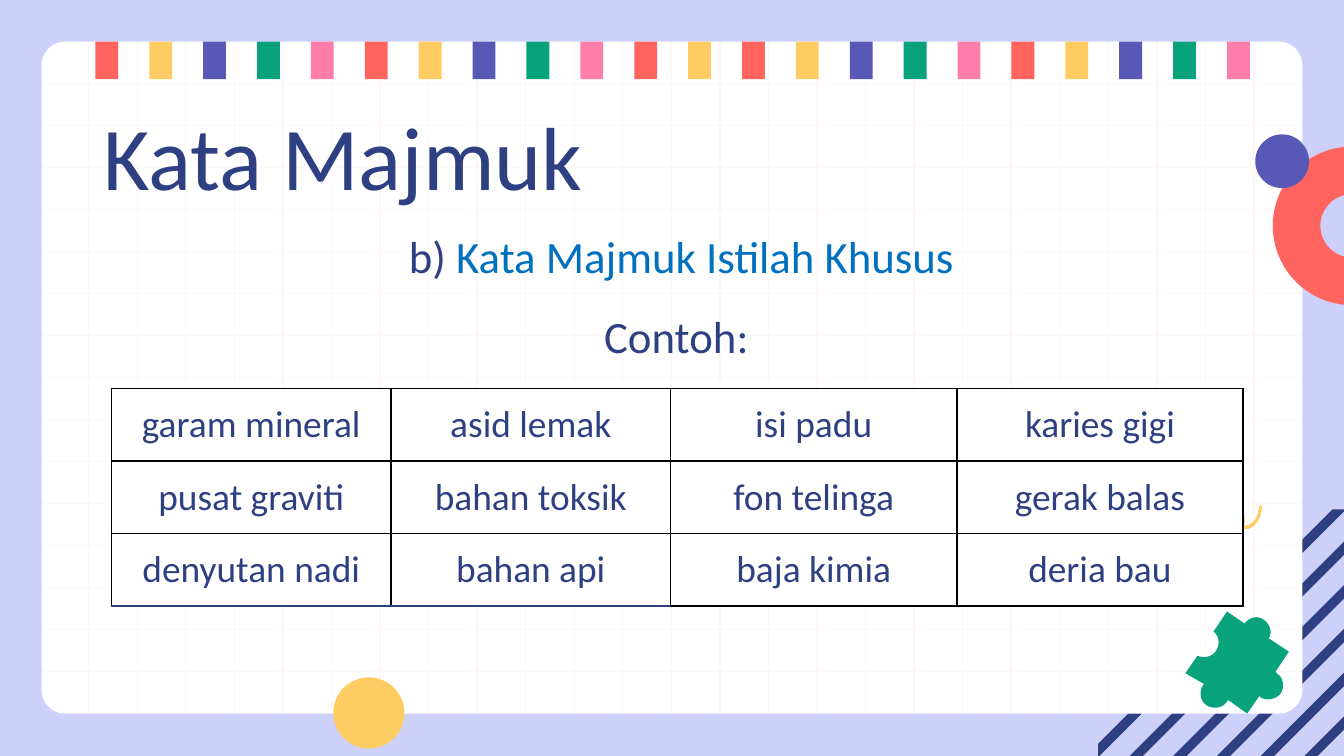
from dataclasses import dataclass

from lxml import etree
from pptx import Presentation
from pptx.dml.color import RGBColor
from pptx.enum.shapes import MSO_CONNECTOR, MSO_SHAPE
from pptx.enum.text import MSO_ANCHOR, PP_ALIGN
from pptx.oxml.ns import qn
from pptx.util import Inches, Pt

STRAIGHT = MSO_CONNECTOR.STRAIGHT
RECTANGLE, ROUNDED = MSO_SHAPE.RECTANGLE, MSO_SHAPE.ROUNDED_RECTANGLE
OVAL, BLOCK_ARC = MSO_SHAPE.OVAL, MSO_SHAPE.BLOCK_ARC
LEFT, CENTER = PP_ALIGN.LEFT, PP_ALIGN.CENTER
MIDDLE = MSO_ANCHOR.MIDDLE


@dataclass(frozen=True)
class Theme:
    font: str = "Calibri"
    title_size: int = 48
    body_size: int = 24
    cell_size: int = 20
    background: str = "CDD1F9"
    white: str = "FFFFFF"
    black: str = "000000"
    grid: str = "FFF7F7"
    navy: str = "2E4081"
    blue: str = "0070C0"
    red: str = "FF645E"
    yellow: str = "FFCC63"
    purple: str = "5859B6"
    green: str = "08A37C"
    pink: str = "FF7DAB"


THEME = Theme()
WIDTH = 10
HEIGHT = WIDTH * 9 / 16
CARD_LEFT, CARD_TOP, CARD_WIDTH, CARD_HEIGHT = 0.31, 0.31, 9.38, 5

TERMS = [
    ["garam mineral", "asid lemak", "isi padu", "karies gigi"],
    ["pusat graviti", "bahan toksik", "fon telinga", "gerak balas"],
    ["denyutan nadi", "bahan api", "baja kimia", "deria bau"],
]

# Outlines: a pair is a corner, six numbers are a Bezier curve.
PUZZLE = [
    (9.4, 4.61), (9.36, 4.58, 9.3, 4.59, 9.26, 4.64), (9.13, 4.55), (9.03, 4.7),
    (9.07, 4.73, 9.08, 4.79, 9.05, 4.84), (9.02, 4.89, 8.96, 4.9, 8.91, 4.88),
    (8.82, 5.01), (8.96, 5.09), (8.95, 5.1),
    (8.92, 5.15, 8.93, 5.22, 8.98, 5.25), (9.03, 5.28, 9.1, 5.27, 9.13, 5.22),
    (9.14, 5.21), (9.28, 5.31), (9.37, 5.18), (9.38, 5.19),
    (9.43, 5.22, 9.5, 5.2, 9.53, 5.16), (9.56, 5.11, 9.55, 5.04, 9.5, 5.01),
    (9.49, 5), (9.59, 4.85), (9.44, 4.75), (9.47, 4.71, 9.45, 4.64, 9.4, 4.61),
]
SQUIGGLE_LOOP = [
    (9.21, 3.81), (9.22, 3.81, 9.22, 3.82, 9.22, 3.82),
    (9.24, 3.82, 9.24, 3.84, 9.24, 3.85), (9.24, 3.87, 9.24, 3.89, 9.23, 3.9),
    (9.22, 3.9, 9.2, 3.89, 9.19, 3.87), (9.19, 3.85, 9.19, 3.83, 9.2, 3.82),
]
SQUIGGLE_STROKE = [
    (9.38, 3.76), (9.37, 3.77), (9.36, 3.82, 9.35, 3.88, 9.3, 3.9),
    (9.29, 3.91, 9.28, 3.91, 9.25, 3.91), (9.26, 3.89, 9.27, 3.87, 9.26, 3.85),
    (9.26, 3.82, 9.24, 3.79, 9.21, 3.79), (9.18, 3.79, 9.17, 3.82, 9.17, 3.84),
    (9.16, 3.88, 9.19, 3.91, 9.22, 3.92), (9.21, 3.94, 9.2, 3.95, 9.18, 3.96),
    (9.17, 3.97, 9.16, 3.97, 9.14, 3.97), (9.11, 3.97, 9.08, 3.95, 9.07, 3.92),
    (9.05, 3.93), (9.06, 3.97, 9.1, 3.99, 9.14, 3.99),
    (9.16, 3.99, 9.17, 3.99, 9.18, 3.99), (9.2, 3.98, 9.23, 3.96, 9.24, 3.93),
    (9.27, 3.94), (9.35, 3.93, 9.39, 3.84, 9.39, 3.77),
]


def color(value):
    return RGBColor.from_string(value)


def paint(shape, fill):
    shape.shadow.inherit = False
    shape.fill.solid()
    shape.fill.fore_color.rgb = color(fill)
    shape.line.fill.background()


def add_shape(slide, kind, box, fill, adjustments=()):
    shape = slide.shapes.add_shape(kind, *map(Inches, box))
    for index, value in enumerate(adjustments):
        shape.adjustments[index] = value
    paint(shape, fill)


def flatten(outline, steps=8):
    points = [outline[0]]
    for segment in outline[1:]:
        if len(segment) == 2:
            points.append(segment)
            continue
        controls = [points[-1], segment[:2], segment[2:4], segment[4:]]
        for step in range(1, steps + 1):
            t = step / steps
            weights = ((1 - t) ** 3, 3 * t * (1 - t) ** 2, 3 * t * t * (1 - t), t ** 3)
            points.append(tuple(
                sum(weight * point[axis] for weight, point in zip(weights, controls))
                for axis in (0, 1)))
    return [(Inches(x), Inches(y)) for x, y in points]


def add_outline(slide, fill, *outlines):
    first, *others = map(flatten, outlines)
    builder = slide.shapes.build_freeform(*first[0])
    builder.add_line_segments(first[1:], close=True)
    for points in others:
        builder.move_to(*points[0])
        builder.add_line_segments(points[1:], close=True)
    paint(builder.convert_to_shape(), fill)


def add_line(slide, *ends):
    line = slide.shapes.add_connector(STRAIGHT, *map(Inches, ends))
    line.line.color.rgb = color(THEME.grid)
    line.line.width = Pt(0.75)
    etree.SubElement(line._element.spPr, qn("a:effectLst"))


def write(paragraph, text, size, fill=THEME.navy, align=LEFT, spacing=None):
    paragraph.alignment = align
    paragraph.line_spacing = spacing
    run = paragraph.add_run()
    run.text = text
    run.font.name = THEME.font
    run.font.size = Pt(size)
    run.font.color.rgb = color(fill)


def set_margins(target):
    target.margin_left = target.margin_right = Inches(0.1)
    target.margin_top = target.margin_bottom = Inches(0.1)


def add_text_frame(slide, *box):
    frame = slide.shapes.add_textbox(*map(Inches, box)).text_frame
    frame.word_wrap = True
    set_margins(frame)
    return frame


def set_borders(cell, bottom):
    properties = cell._tc.get_or_add_tcPr()
    sides = {"a:lnL": THEME.black, "a:lnR": THEME.black, "a:lnT": THEME.black, "a:lnB": bottom}
    for index, (side, value) in enumerate(sides.items()):
        border = etree.Element(qn(side), w=str(Pt(1)))
        fill = etree.SubElement(border, qn("a:solidFill"))
        etree.SubElement(fill, qn("a:srgbClr"), val=value)
        properties.insert(index, border)


def add_terms_table(slide):
    frame = slide.shapes.add_table(3, 4, *map(Inches, (0.83, 2.89, 8.42, 1.62)))
    table = frame.table
    table.first_row = table.horz_banding = False
    for column, width in zip(table.columns, (2.08, 2.08, 2.13, 2.13)):
        column.width = Inches(width)
    for row_index, terms in enumerate(TERMS):
        table.rows[row_index].height = Inches(0.54)
        for column_index, term in enumerate(terms):
            cell = table.cell(row_index, column_index)
            set_margins(cell)
            cell.vertical_anchor = MIDDLE
            cell.fill.solid()
            cell.fill.fore_color.rgb = color(THEME.white)
            navy_edge = row_index == 2 and column_index < 2
            set_borders(cell, THEME.navy if navy_edge else THEME.black)
            write(cell.text_frame.paragraphs[0], term, THEME.cell_size, align=CENTER)


def add_diagonals(slide, left=8.17, top=3.79):
    for index in range(7):
        near = 15.33 - index * 0.325
        far = near + 0.1
        upper = [(min(WIDTH, total - top), total) for total in (near, far)]
        lower = [(max(left, total - HEIGHT), total) for total in (near, far)]
        (a, b), (c, d) = [[(x, total - x) for x, total in side] for side in (upper, lower)]
        add_outline(slide, THEME.navy, [a, c, (c[0], d[1]), d, b, (b[0], a[1])])


def add_card(slide):
    box = (CARD_LEFT, CARD_TOP, CARD_WIDTH, CARD_HEIGHT)
    add_shape(slide, ROUNDED, box, THEME.white, [0.035])
    right, bottom = CARD_LEFT + CARD_WIDTH, CARD_TOP + CARD_HEIGHT
    for index in range(1, 16):
        y = CARD_TOP + index * CARD_HEIGHT / 16
        add_line(slide, CARD_LEFT, y, right, y)
    for index in range(25):
        x = 0.66 + index * 8.67 / 24
        add_line(slide, x, CARD_TOP, x, bottom)
    colors = (THEME.red, THEME.yellow, THEME.purple, THEME.green, THEME.pink)
    for index in range(22):
        x = 0.71 + index * 8.42 / 21
        add_shape(slide, RECTANGLE, (x, CARD_TOP, 0.17, 0.28), colors[index % 12 % 5])


def main():
    presentation = Presentation()
    presentation.slide_width, presentation.slide_height = Inches(WIDTH), Inches(HEIGHT)
    slide = presentation.slides.add_slide(presentation.slide_layouts[6])
    slide.background.fill.solid()
    slide.background.fill.fore_color.rgb = color(THEME.background)

    add_diagonals(slide)
    add_card(slide)
    add_shape(slide, BLOCK_ARC, (9.47, 1.09, 1.18, 1.18), THEME.red, [54, 162, 0.3])
    add_shape(slide, OVAL, (2.48, 5.04, 0.53, 0.53), THEME.yellow)
    add_shape(slide, OVAL, (9.34, 1, 0.4, 0.4), THEME.purple)
    add_outline(slide, THEME.green, PUZZLE)

    title = add_text_frame(slide, 0.67, 0.65, 8.43, 0.63)
    write(title.paragraphs[0], "Kata Majmuk", THEME.title_size)
    body = add_text_frame(slide, 0.75, 1.4, 8.64, 3.62)
    heading = body.paragraphs[0]
    for text, fill in (("b) ", THEME.navy), ("Kata Majmuk Istilah Khusus", THEME.blue)):
        write(heading, text, THEME.body_size, fill=fill, align=CENTER, spacing=1.5)
    write(body.add_paragraph(), "Contoh: ", THEME.body_size, align=CENTER, spacing=1.5)

    add_outline(slide, THEME.yellow, SQUIGGLE_LOOP, SQUIGGLE_STROKE)
    add_terms_table(slide)
    presentation.save("out.pptx")


if __name__ == "__main__":
    main()
